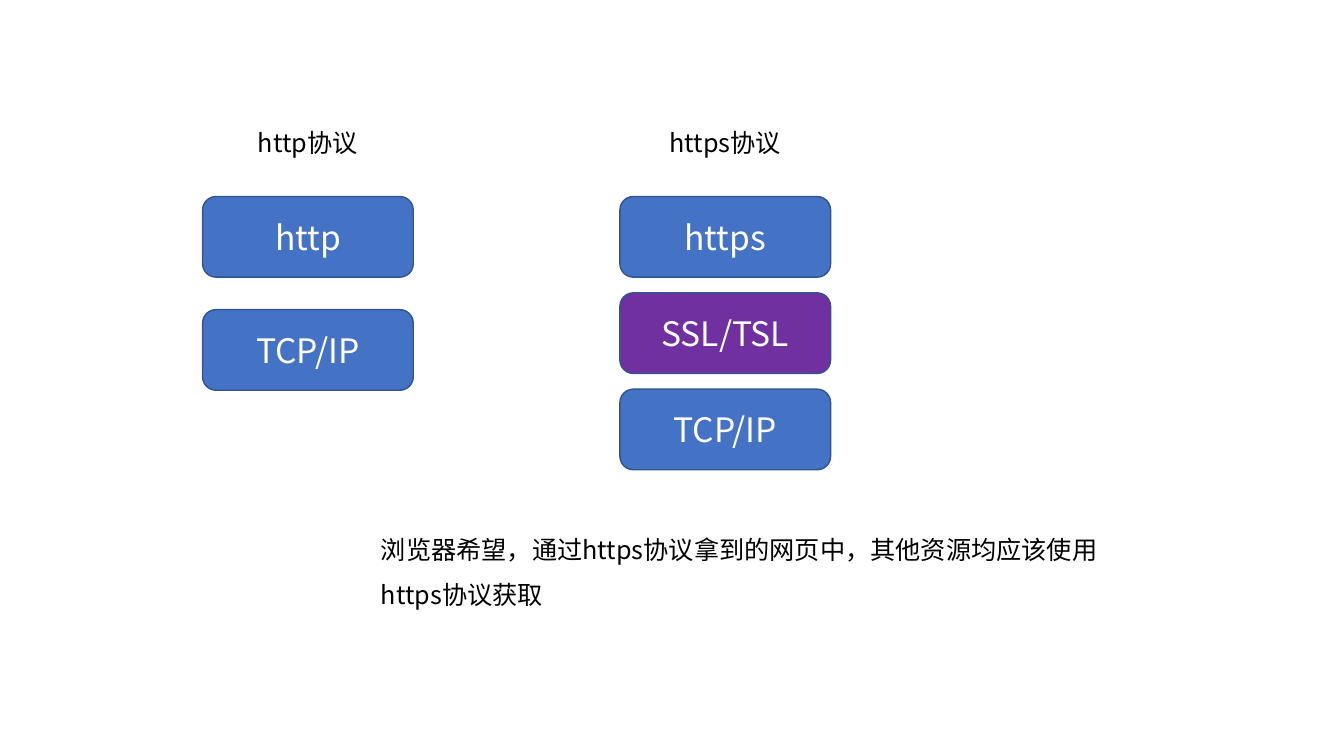
from lxml import etree
from pptx import Presentation
from pptx.dml.color import RGBColor
from pptx.enum.shapes import MSO_SHAPE as SHAPE
from pptx.enum.text import MSO_ANCHOR as ANCHOR, MSO_AUTO_SIZE as AUTO, PP_ALIGN as ALIGN
from pptx.oxml.ns import qn
from pptx.util import Pt

BLUE, PURPLE, EDGE = "4472C4", "7030A0", "325491"
WHITE, BLACK = "FFFFFF", "000000"


def rgb(value):
    return RGBColor.from_string(value)


class Deck:
    """Holds the text style and the current slide; lengths are in points."""

    font = "Noto Sans CJK SC"

    def __init__(self, prs):
        self.s = prs.slides.add_slide(prs.slide_layouts[6])

    def add_text(self, tf, text, size, color, align, spacing=None):
        tf.word_wrap = True
        p = tf.paragraphs[0]
        p.alignment = align
        p.line_spacing = spacing
        r = p.add_run()
        r.text = text
        r.font.size = Pt(size)
        r.font.color.rgb = rgb(color)
        r.font.name = self.font
        # East Asian typeface
        ea = etree.SubElement(r.font._element, qn("a:ea"))
        ea.set("typeface", self.font)

    def box(self, text, x, y, w, h, fill):
        sp = self.s.shapes.add_shape(SHAPE.ROUNDED_RECTANGLE, Pt(x), Pt(y), Pt(w), Pt(h))
        sp.shadow.inherit = False
        sp.fill.solid()
        sp.fill.fore_color.rgb = rgb(fill)
        sp.line.color.rgb = rgb(EDGE)
        sp.line.width = Pt(1)
        sp.text_frame.vertical_anchor = ANCHOR.MIDDLE
        self.add_text(sp.text_frame, text, 24, WHITE, ALIGN.CENTER)

    def label(self, text, x, y, w, h, align=ALIGN.LEFT, spacing=None):
        tf = self.s.shapes.add_textbox(Pt(x), Pt(y), Pt(w), Pt(h)).text_frame
        self.add_text(tf, text, 18, BLACK, align, spacing)
        tf.auto_size = AUTO.SHAPE_TO_FIT_TEXT


def main():
    prs = Presentation()
    prs.slide_width, prs.slide_height = Pt(960), Pt(540)
    deck = Deck(prs)

    # Protocol stacks: heading, left edge, row pitch, layers from top to bottom
    box_w, box_h, label_w = 150.5, 57.6, 144
    stacks = [
        ("http协议", 144.7, 80.8, [("http", BLUE), ("TCP/IP", BLUE)]),
        ("https协议", 442.8, 68.8, [("https", BLUE), ("SSL/TSL", PURPLE), ("TCP/IP", BLUE)]),
    ]
    for heading, x, pitch, layers in stacks:
        deck.label(heading, x + (box_w - label_w) / 2, 87.1, label_w, 29, ALIGN.CENTER)
        for i, (name, fill) in enumerate(layers):
            deck.box(name, x, 140.4 + i * pitch, box_w, box_h, fill)

    # Explanation
    deck.label("浏览器希望，通过https协议拿到的网页中，其他资源均应该使用https协议获取",
               265, 367.2, 527, 69, spacing=1.5)

    prs.save("out.pptx")


if __name__ == "__main__":
    main()
